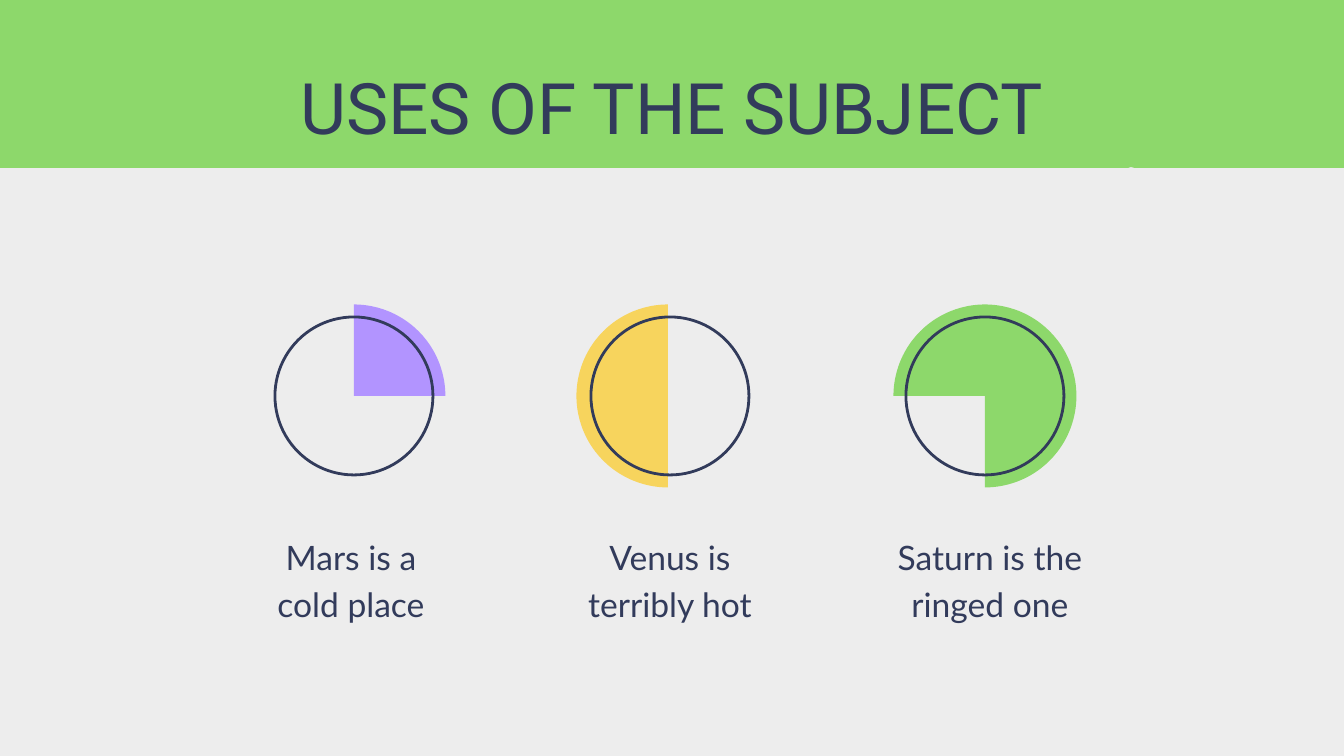
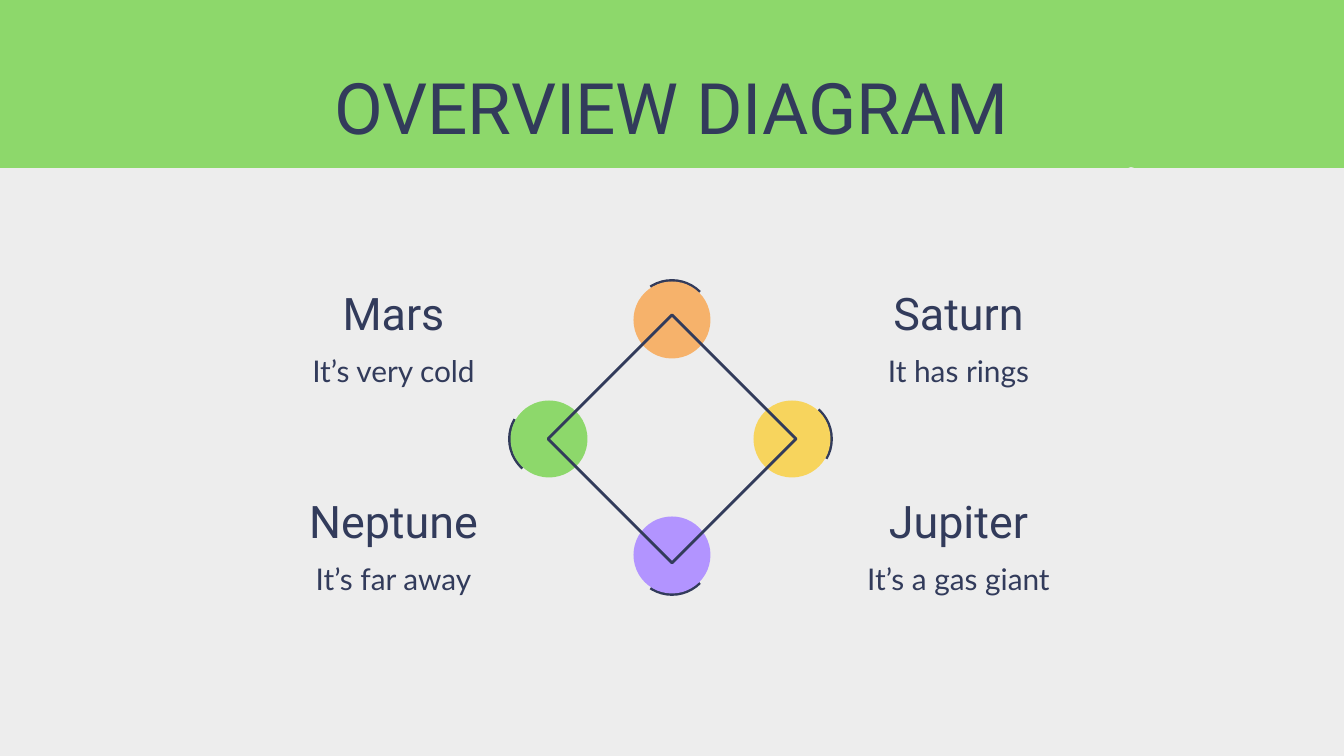
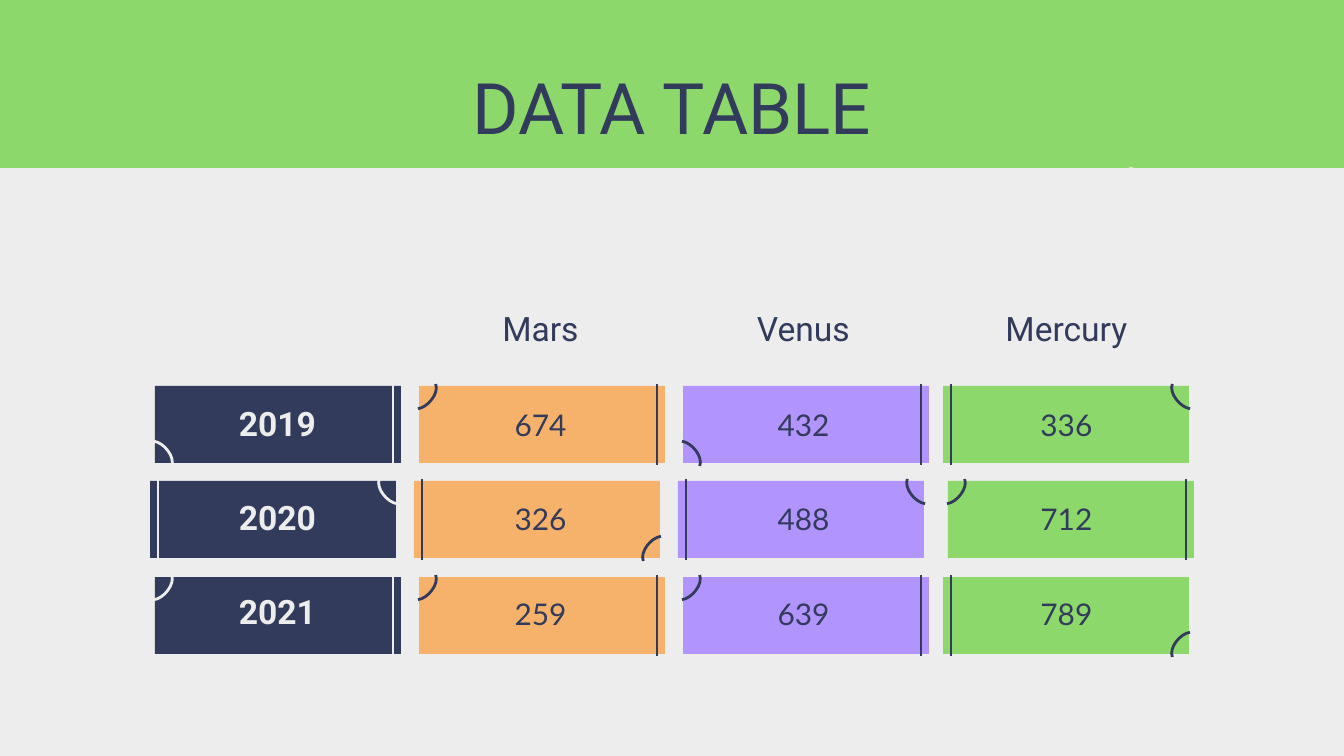
import lxml.etree
import pptx
import pptx.dml.color
import pptx.enum.shapes
import pptx.enum.text
import pptx.oxml.ns
import pptx.util

SHAPE = pptx.enum.shapes.MSO_SHAPE
ANCHOR = pptx.enum.text.MSO_ANCHOR
CENTER = pptx.enum.text.PP_ALIGN.CENTER
PX = 914400 / 134.4

GREEN, PURPLE, YELLOW, ORANGE = "8DD86B", "B294FF", "F7D45D", "F6B26B"
NAVY, PALE = "323B5B", "EDEDED"

TITLE = {"name": "Roboto", "size": 38}
HEADING = {"name": "Roboto", "size": 24}
LABEL = {"name": "Roboto", "size": 18}
YEAR = {"name": "Roboto", "size": 18, "bold": True, "color": PALE}
CAPTION = {"name": "Lato", "size": 18, "line_spacing": 1.15}
DETAIL = {"name": "Lato", "size": 16, "line_spacing": 1.15}
VALUE = {"name": "Lato", "size": 16}


def px(n):
    return pptx.util.Emu(round(n * PX))


def rgb(color):
    return pptx.dml.color.RGBColor.from_string(color)


def style(sp, fill=None, line=None):
    sp.shadow.inherit = False
    if fill:
        sp.fill.solid()
        sp.fill.fore_color.rgb = rgb(fill)
    else:
        sp.fill.background()
    if line:
        stroke(sp, line)
    else:
        sp.line.fill.background()


def stroke(sp, color):
    sp.line.color.rgb = rgb(color)
    sp.line.width = pptx.util.Pt(1.5)


def add_shape(s, kind, x, y, w, h, fill=None, line=None, angles=()):
    """Add a preset shape; angles, in degrees, bound a pie or an arc."""
    sp = s.shapes.add_shape(kind, px(x), px(y), px(w), px(h))
    for i, angle in enumerate(angles):
        sp.adjustments[i] = angle * 0.6
    style(sp, fill, line)


def add_round(s, kind, center, size, **look):
    x, y = center
    add_shape(s, kind, x - size / 2, y - size / 2, size, size, **look)


def add_outline(s, points, closed, **look):
    points = [(px(x), px(y)) for x, y in points]
    builder = s.shapes.build_freeform(*points[0], scale=1.0)
    builder.add_line_segments(points[1:], close=closed)
    sp = builder.convert_to_shape()
    style(sp, **look)
    return sp


def add_line(s, x1, y1, x2, y2, color):
    line = s.shapes.add_connector(pptx.enum.shapes.MSO_CONNECTOR.STRAIGHT,
                                  px(x1), px(y1), px(x2), px(y2))
    stroke(line, color)
    lxml.etree.SubElement(line._element.spPr, pptx.oxml.ns.qn("a:effectLst"))


def write(tf, text, fmt):
    p = tf.paragraphs[0]
    p.alignment = CENTER
    if "line_spacing" in fmt:
        p.line_spacing = fmt["line_spacing"]
    r = p.add_run()
    r.text = text
    r.font.name = fmt["name"]
    r.font.size = pptx.util.Pt(fmt["size"])
    r.font.bold = fmt.get("bold", False)
    r.font.color.rgb = rgb(fmt.get("color", NAVY))


def add_text(s, text, x, y, w, h, fmt, anchor=ANCHOR.TOP):
    tf = s.shapes.add_textbox(px(x), px(y), px(w), px(h)).text_frame
    frame = {"word_wrap": True, "vertical_anchor": anchor, "margin_left": px(13),
             "margin_right": px(13), "margin_top": px(13), "margin_bottom": px(13)}
    for key, value in frame.items():
        setattr(tf, key, value)
    write(tf, text, fmt)


def add_slide(prs, title):
    """Add a slide with the shared background, notched band and title."""
    s = prs.slides.add_slide(prs.slide_layouts[6])
    s.background.fill.solid()
    s.background.fill.fore_color.rgb = rgb(PALE)
    band = [(0, 0), (0, 168), (1128, 168), (1131, 167), (1135, 168),
            (1344, 168), (1344, 0)]
    add_outline(s, band, True, fill=GREEN)
    add_text(s, title, 105, 51, 1134, 103, TITLE)
    return s


def uses_slide(prs):
    s = add_slide(prs, "USES OF THE SUBJECT")
    uses = [
        (354, 354, PURPLE, (270, 0), "Mars is a cold place"),
        (668, 670, YELLOW, (90, 270), "Venus is terribly hot"),
        (985, 985, GREEN, (180, 90), "Saturn is the ringed one"),
    ]
    for i, (pie_x, ring_x, color, angles, caption) in enumerate(uses):
        add_round(s, SHAPE.PIE, (pie_x, 396), 183, fill=color, angles=angles)
        add_round(s, SHAPE.OVAL, (ring_x, 396), 158, line=NAVY)
        add_text(s, caption, 241 + 639 * i // 2, 546, 220, 63, CAPTION, ANCHOR.MIDDLE)


def overview_slide(prs):
    s = add_slide(prs, "OVERVIEW DIAGRAM")
    discs = [
        ((672, 320), ORANGE, 237),
        ((792, 439), YELLOW, 312),
        ((672, 555), PURPLE, 45),
        ((549, 439), GREEN, 132),
    ]
    for center, color, start in discs:
        add_round(s, SHAPE.ARC, center, 79, line=NAVY,
                  angles=(start, (start + 78) % 360))
        add_round(s, SHAPE.OVAL, center, 77, fill=color)
    add_shape(s, SHAPE.DIAMOND, 548, 315, 248, 248, line=NAVY)

    planets = [
        (275, 273, "Mars", "It’s very cold"),
        (840, 273, "Saturn", "It has rings"),
        (275, 481, "Neptune", "It’s far away"),
        (840, 481, "Jupiter", "It’s a gas giant"),
    ]
    for x, y, name, detail in planets:
        add_text(s, name, x, y, 237, 63, HEADING)
        add_text(s, detail, x, y + 61, 237, 63, DETAIL)


def add_curve(s, points, color):
    """Add one cubic curve from its start, two control points and end."""
    sp = add_outline(s, points, False, line=color)
    qn = pptx.oxml.ns.qn
    outline = sp._element.spPr.find(".//" + qn("a:path"))
    segments = outline.findall(qn("a:lnTo"))
    curve = lxml.etree.SubElement(outline, qn("a:cubicBezTo"))
    for segment in segments:
        curve.append(segment[0])
        outline.remove(segment)
    return sp


def add_corner(s, x, y, x_dir, y_dir, color):
    """Cut a corner with a curve; the two signs point into the tile."""
    rotation = {(1, 1): 315, (1, -1): 225, (-1, 1): 45, (-1, -1): 135}
    mirror = x_dir * y_dir
    center_x, center_y = x + x_dir * 10, y + y_dir * 12
    bow = [(15, -5), (11, 4), (-7, 6), (-15, 0)]
    points = [(center_x + mirror * dx, center_y + dy) for dx, dy in bow]
    add_curve(s, points, color).rotation = rotation[x_dir, y_dir]


def add_tile(s, x, y, fill, line, marks):
    """Add a tile; marks give the side of the bar (L, R) and the cut corner (T, B)."""
    w, h = 246, 77
    side, corner = marks
    if side == "L":
        x -= 5
        bar_x, curve_x, x_dir = x + 8, x + w, -1
    else:
        bar_x, curve_x, x_dir = x + w - 8, x, 1
    curve_y, y_dir = (y, 1) if corner == "T" else (y + h, -1)
    add_shape(s, SHAPE.RECTANGLE, x, y, w, h, fill=fill)
    add_line(s, bar_x, y - 2, bar_x, y + h + 2, line)
    add_corner(s, curve_x, curve_y, x_dir, y_dir, line)


def clear_cell(cell):
    """Remove the borders and the fill that the table style gives."""
    tc_pr = cell._tc.get_or_add_tcPr()
    for side in ("L", "R", "T", "B"):
        ln = lxml.etree.SubElement(tc_pr, pptx.oxml.ns.qn("a:ln" + side))
        lxml.etree.SubElement(ln, pptx.oxml.ns.qn("a:noFill"))
    cell.fill.background()


def add_table(s, rows, x, y, w, h):
    table = s.shapes.add_table(len(rows), len(rows[0]),
                               px(x), px(y), px(w), px(h)).table
    table.first_row = table.horz_banding = False
    layout = {"vertical_anchor": ANCHOR.MIDDLE, "margin_left": px(4),
              "margin_right": px(4), "margin_top": px(3), "margin_bottom": px(3)}
    for i, row in enumerate(rows):
        for j, text in enumerate(row):
            cell = table.cell(i, j)
            clear_cell(cell)
            for key, value in layout.items():
                setattr(cell, key, value)
            if text:
                fmt = LABEL if i == 0 else YEAR if j == 0 else VALUE
                write(cell.text_frame, text, fmt)


def data_slide(prs):
    s = add_slide(prs, "DATA TABLE")
    colors = [(NAVY, PALE), (ORANGE, NAVY), (PURPLE, NAVY), (GREEN, NAVY)]
    tile_marks = [
        ("RB", "RT", "RB", "LT"),
        ("LT", "LB", "LT", "RT"),
        ("RT", "RT", "RT", "LB"),
    ]
    for i, row in enumerate(tile_marks):
        for j, ((fill, line), marks) in enumerate(zip(colors, row)):
            add_tile(s, 155 + 793 * j // 3, 386 + 191 * i // 2, fill, line, marks)
    rows = [
        ("", "Mars", "Venus", "Mercury"),
        ("2019", "674", "432", "336"),
        ("2020", "326", "488", "712"),
        ("2021", "259", "639", "789"),
    ]
    add_table(s, rows, 146, 283, 1052, 378)


def main():
    prs = pptx.Presentation()
    prs.slide_width, prs.slide_height = px(1344), px(756)
    uses_slide(prs)
    overview_slide(prs)
    data_slide(prs)
    prs.save("out.pptx")


if __name__ == "__main__":
    main()
